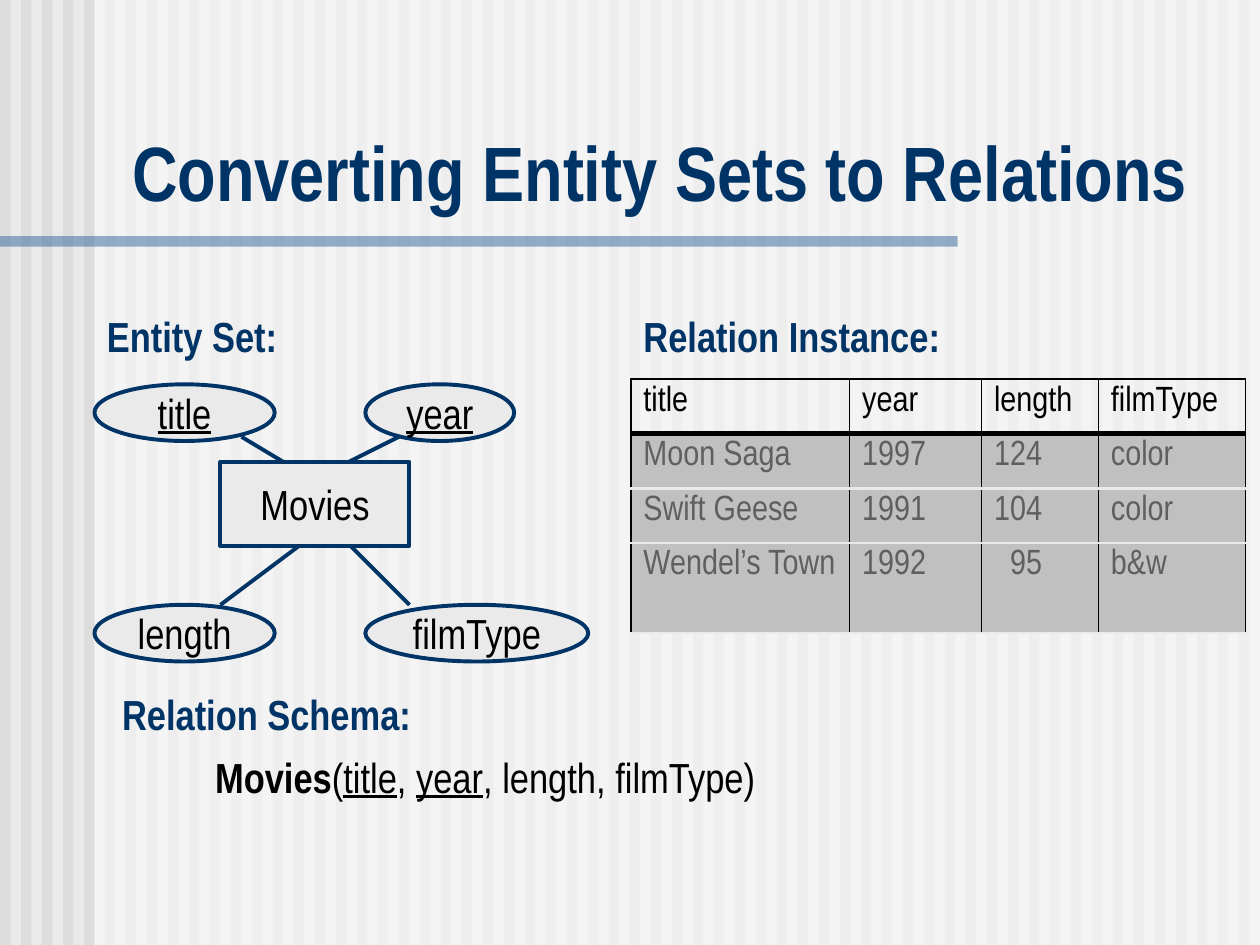
from dataclasses import dataclass

from lxml import etree
from pptx import Presentation
from pptx.dml.color import RGBColor
from pptx.enum.shapes import MSO_CONNECTOR, MSO_SHAPE
from pptx.enum.text import MSO_ANCHOR, MSO_AUTO_SIZE, PP_ALIGN
from pptx.oxml.ns import qn
from pptx.util import Pt

RECTANGLE = MSO_SHAPE.RECTANGLE
ELLIPSE = MSO_SHAPE.OVAL
STRAIGHT = MSO_CONNECTOR.STRAIGHT
LEFT, CENTER = PP_ALIGN.LEFT, PP_ALIGN.CENTER
TOP, MIDDLE, BOTTOM = MSO_ANCHOR.TOP, MSO_ANCHOR.MIDDLE, MSO_ANCHOR.BOTTOM
FIT_TO_TEXT = MSO_AUTO_SIZE.SHAPE_TO_FIT_TEXT

COLORS = {
    "background": "EAEAEA",
    "stripe": "DDDDDD",
    "veil": "FFFFFF",
    "rule": "336699",
    "navy": "003366",
    "black": "000000",
    "body_text": "5F5F5F",
    "body_fill": "C0C0C0",
}
FONT = "Arial Narrow"
SLIDE_WIDTH, SLIDE_HEIGHT = 720, 540
STRIPE_WIDTH, STRIPE_PITCH = 6, 12
LINE_WIDTH = 2.25
ATTRIBUTE_HEIGHT = 32.4
CELL_INSET = 7.2


@dataclass(frozen=True)
class Box:
    left: float
    top: float
    width: float
    height: float

    def lengths(self) -> tuple:
        return Pt(self.left), Pt(self.top), Pt(self.width), Pt(self.height)


@dataclass(frozen=True)
class Node:
    text: str
    box: Box
    kind: int = ELLIPSE
    underline: bool = False


@dataclass(frozen=True)
class Link:
    start: tuple
    end: tuple


@dataclass(frozen=True)
class Label:
    text: str
    box: Box
    size: float = 24
    align: int = CENTER
    anchor: int = TOP
    wrap: bool = False


@dataclass(frozen=True)
class Border:
    color: str
    width: float


NODES = [
    Node("length", Box(54, 345.6, 103, ATTRIBUTE_HEIGHT)),
    Node("filmType", Box(208.8, 345.6, 127.4, ATTRIBUTE_HEIGHT)),
    Node("title", Box(54, 219.6, 103, ATTRIBUTE_HEIGHT), underline=True),
    Node("year", Box(208.8, 219.6, 85, ATTRIBUTE_HEIGHT), underline=True),
    Node("Movies", Box(126, 264, 108, 48), RECTANGLE),
]
LINKS = [
    Link((126, 345.6), (174, 309.6)),
    Link((234, 345.6), (198, 309.6)),
    Link((138, 249.6), (168, 267.6)),
    Link((228, 249.6), (192, 267.6)),
]
LABELS = [
    Label("Converting Entity Sets to Relations", Box(68.4, 67.7, 643, 59.8),
          44, LEFT, BOTTOM, True),
    Label("Entity Set:", Box(53.5, 174, 112.6, 36)),
    Label("Relation Instance:", Box(359.5, 174, 186, 36)),
    Label("Relation Schema:", Box(62, 390, 180.6, 36)),
]
SCHEMA = [
    ("Movies", {"bold": True}),
    ("(", {}),
    ("title", {"underline": True}),
    (", ", {}),
    ("year", {"underline": True}),
    (", length, filmType)", {}),
]
MOVIES = [
    ("title", "year", "length", "filmType"),
    ("Moon Saga", "1997", "124", "color"),
    ("Swift Geese", "1991", "104", "color"),
    ("Wendel’s Town", "1992", "95", "b&w"),
]
COLUMN_WIDTHS = [125, 75.4, 66.8, 84]
ROW_HEIGHTS = [31.2, 31.2, 31.2, 51.6]
TWO_DIGIT_INDENT = 9.1

EDGE = Border("black", 1.08)
COLUMN_LINE = Border("black", 0.45)
HEADER_LINE = Border("black", 3)
ROW_LINE = Border("background", 1.47)


def rgb(name: str) -> RGBColor:
    return RGBColor.from_string(COLORS[name])


def add_text(paragraph, text: str, *, size: float = 24, color: str = "black",
             bold: bool = False, underline: bool = False) -> None:
    run = paragraph.add_run()
    run.text = text
    font = run.font
    font.name, font.size = FONT, Pt(size)
    font.bold, font.underline = bold, underline
    font.color.rgb = rgb(color)


def add_block(slide, box: Box, color: str, kind: int = RECTANGLE, alpha: int = 100):
    shape = slide.shapes.add_shape(kind, *box.lengths())
    shape.shadow.inherit = False
    shape.fill.solid()
    shape.fill.fore_color.rgb = rgb(color)
    shape.line.fill.background()
    if alpha < 100:
        fill_color = shape.element.spPr.find(qn("a:solidFill"))[0]
        etree.SubElement(fill_color, qn("a:alpha"), val=str(alpha * 1000))
    return shape


def add_node(slide, node: Node) -> None:
    shape = add_block(slide, node.box, "background", node.kind)
    shape.line.color.rgb = rgb("navy")
    shape.line.width = Pt(LINE_WIDTH)
    frame = shape.text_frame
    frame.word_wrap = False
    frame.vertical_anchor = MIDDLE
    paragraph = frame.paragraphs[0]
    paragraph.alignment = CENTER
    add_text(paragraph, node.text, underline=node.underline)


def add_link(slide, link: Link) -> None:
    points = [Pt(value) for value in link.start + link.end]
    connector = slide.shapes.add_connector(STRAIGHT, *points)
    connector.line.color.rgb = rgb("navy")
    connector.line.width = Pt(LINE_WIDTH)
    etree.SubElement(connector.element.spPr, qn("a:effectLst"))


def add_text_box(slide, box: Box, align: int = CENTER, anchor: int = TOP,
                 wrap: bool = False):
    frame = slide.shapes.add_textbox(*box.lengths()).text_frame
    frame.auto_size = FIT_TO_TEXT
    frame.word_wrap = wrap
    frame.vertical_anchor = anchor
    paragraph = frame.paragraphs[0]
    paragraph.alignment = align
    return paragraph


def set_borders(cell, borders: dict) -> None:
    properties = cell._tc.get_or_add_tcPr()
    for side in "LRTB":
        border = borders[side]
        line = etree.SubElement(properties, qn(f"a:ln{side}"), w=str(Pt(border.width)))
        fill = etree.SubElement(line, qn("a:solidFill"))
        etree.SubElement(fill, qn("a:srgbClr"), val=COLORS[border.color])


def add_movie_table(slide) -> None:
    box = Box(360.5, 216.7, sum(COLUMN_WIDTHS), sum(ROW_HEIGHTS))
    table = slide.shapes.add_table(len(MOVIES), len(COLUMN_WIDTHS), *box.lengths()).table
    table.first_row = table.horz_banding = False
    for column, width in zip(table.columns, COLUMN_WIDTHS):
        column.width = Pt(width)
    last_column = len(COLUMN_WIDTHS) - 1
    for i, (values, height) in enumerate(zip(MOVIES, ROW_HEIGHTS)):
        table.rows[i].height = Pt(height)
        for j, value in enumerate(values):
            cell = table.cell(i, j)
            set_borders(cell, {
                "L": EDGE if j == 0 else COLUMN_LINE,
                "R": EDGE if j == last_column else COLUMN_LINE,
                "T": {0: EDGE, 1: HEADER_LINE}.get(i, ROW_LINE),
                "B": HEADER_LINE if i == 0 else ROW_LINE,
            })
            if i == 0:
                cell.fill.background()
            else:
                cell.fill.solid()
                cell.fill.fore_color.rgb = rgb("body_fill")
            # Line up two-digit lengths with the three-digit ones
            indent = TWO_DIGIT_INDENT if value.isdigit() and len(value) == 2 else 0
            cell.margin_left = Pt(CELL_INSET + indent)
            add_text(cell.text_frame.paragraphs[0], value, size=20,
                     color="body_text" if i else "black")


def main() -> None:
    presentation = Presentation()
    presentation.slide_width, presentation.slide_height = Pt(SLIDE_WIDTH), Pt(SLIDE_HEIGHT)
    slide = presentation.slides.add_slide(presentation.slide_layouts[6])

    # Striped background, veil and title rule
    slide.background.fill.solid()
    slide.background.fill.fore_color.rgb = rgb("background")
    for left in range(0, SLIDE_WIDTH, STRIPE_PITCH):
        add_block(slide, Box(left, 0, STRIPE_WIDTH, SLIDE_HEIGHT), "stripe")
    add_block(slide, Box(54, 0, SLIDE_WIDTH - 54, SLIDE_HEIGHT), "veil", alpha=50)
    add_block(slide, Box(0, 135, 547.2, 6), "rule", alpha=50)

    # Entity diagram: the entity covers the inner ends of its links
    *attributes, entity = NODES
    for attribute in attributes:
        add_node(slide, attribute)
    for link in LINKS:
        add_link(slide, link)
    add_node(slide, entity)

    # Relation instance
    add_movie_table(slide)

    # Title and section headings
    for label in LABELS:
        paragraph = add_text_box(slide, label.box, label.align, label.anchor, label.wrap)
        add_text(paragraph, label.text, size=label.size, color="navy", bold=True)

    # Relation schema with underlined keys
    paragraph = add_text_box(slide, Box(115.2, 426, 324, 36))
    for text, text_format in SCHEMA:
        add_text(paragraph, text, **text_format)

    presentation.save("out.pptx")


if __name__ == "__main__":
    main()
